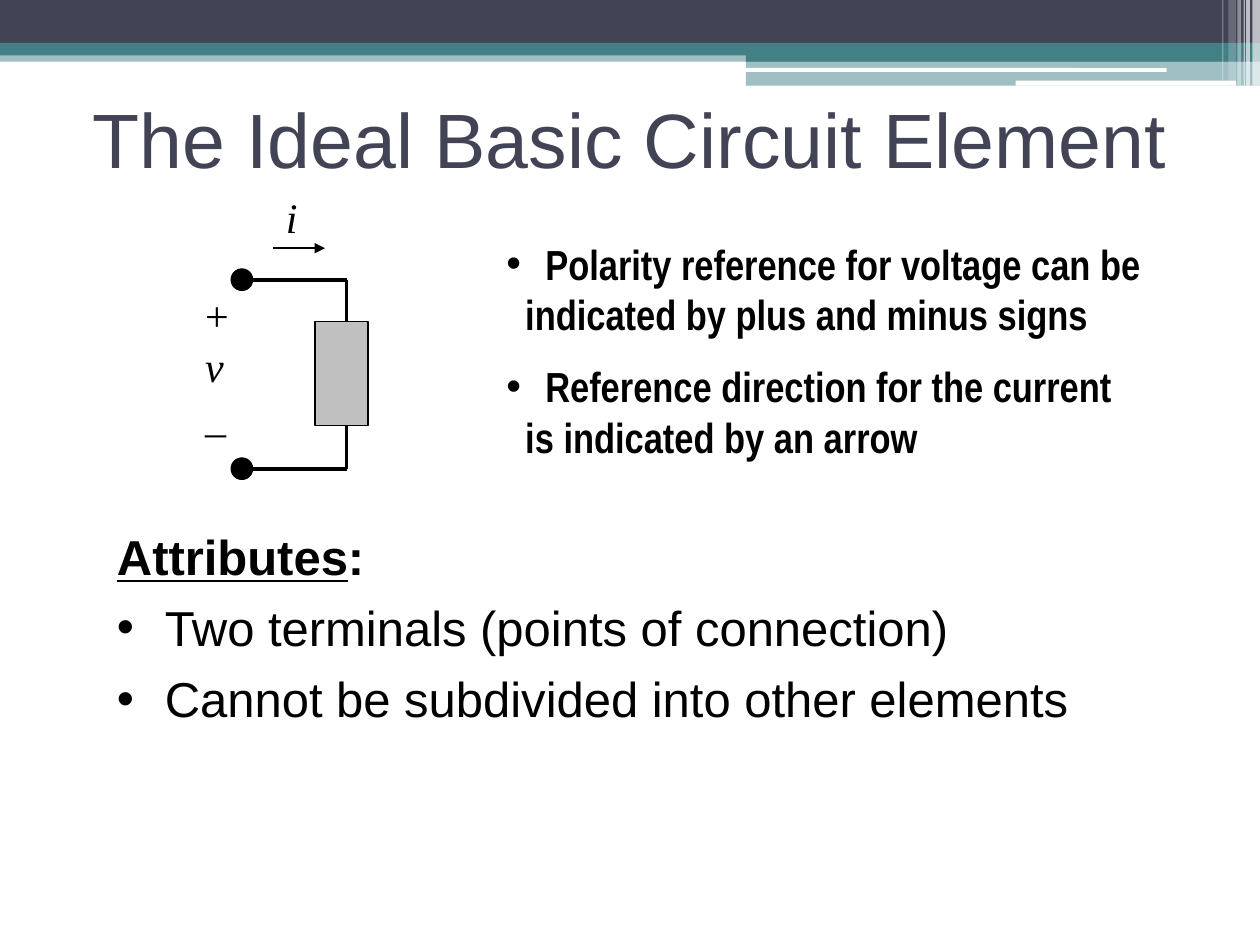
from dataclasses import dataclass
from typing import NamedTuple

from lxml import etree
from pptx import Presentation, util as u
from pptx.dml.color import RGBColor
from pptx.enum import shapes as sh, text as tx
from pptx.oxml.ns import qn

WIDE, HIGH = u.Inches(10), u.Inches(7.5)
COL, ROW = WIDE / 10, HIGH / 7.5
HUES = {"ink": "000000", "white": "FFFFFF", "slate": "424456",
        "teal": "438086", "gray": "C0C0C0"}
RECT, ROUND, OVAL = (sh.MSO_SHAPE.RECTANGLE, sh.MSO_SHAPE.ROUNDED_RECTANGLE,
                     sh.MSO_SHAPE.OVAL)


class Area(NamedTuple):
    col: float
    row: float
    cols: float
    rows: float


class Bar(NamedTuple):
    area: Area
    hue: str
    alpha: int = 100
    kind: int = RECT
    edge: float = 0


class Wire(NamedTuple):
    start: tuple[float, float]
    end: tuple[float, float]
    width: float = 2.25
    arrow: bool = False


class Run(NamedTuple):
    text: str
    bold: bool = False
    slant: bool = False
    under: bool = False


@dataclass
class Para:
    runs: list[Run]
    left: float = 0
    first: float = 0
    before: float = 0
    dot: bool = False
    align: int = tx.PP_ALIGN.LEFT


@dataclass
class Block:
    area: Area
    font: str
    size: float
    paras: list[Para]
    hue: str = "ink"
    wrap: bool = True
    anchor: int = tx.MSO_ANCHOR.TOP


def tint(name: str) -> RGBColor:
    return RGBColor.from_string(HUES[name])


def place(area: Area) -> list[int]:
    units = (COL, ROW, COL, ROW)
    return [round(n * unit) for n, unit in zip(area, units)]


def draw_bar(slide, bar: Bar) -> None:
    shape = slide.shapes.add_shape(bar.kind, *place(bar.area))
    shape.shadow.inherit = False
    shape.fill.solid()
    shape.fill.fore_color.rgb = tint(bar.hue)
    if bar.alpha < 100:
        color = shape.fill._xPr.find(".//" + qn("a:srgbClr"))
        etree.SubElement(color, qn("a:alpha"), val=str(bar.alpha * 1000))
    if bar.edge:
        shape.line.color.rgb = tint("ink")
        shape.line.width = u.Pt(bar.edge)
    else:
        shape.line.fill.background()


def draw_wire(slide, wire: Wire) -> None:
    ends = place(Area(*wire.start, *wire.end))
    link = slide.shapes.add_connector(sh.MSO_CONNECTOR.STRAIGHT, *ends)
    link.line.color.rgb = tint("ink")
    link.line.width = u.Pt(wire.width)
    if wire.arrow:
        etree.SubElement(link.line._get_or_add_ln(), qn("a:tailEnd"),
                         type="triangle")
    etree.SubElement(link._element.spPr, qn("a:effectLst"))


def fill_para(para, item: Para, block: Block) -> None:
    props = para._p.get_or_add_pPr()
    props.set("marL", str(u.Inches(item.left)))
    props.set("indent", str(u.Inches(item.first)))
    para.alignment = item.align
    if item.before:
        para.space_before = u.Pt(item.before)
    if item.dot:
        etree.SubElement(props, qn("a:buFont"), typeface="Arial")
        etree.SubElement(props, qn("a:buChar"), char="•")
    for part in item.runs:
        run = para.add_run()
        run.text = part.text
        font = run.font
        font.name, font.size = block.font, u.Pt(block.size)
        font.bold, font.italic, font.underline = part[1:]
        font.color.rgb = tint(block.hue)


def draw_text(slide, block: Block) -> None:
    frame = slide.shapes.add_textbox(*place(block.area)).text_frame
    frame.word_wrap = block.wrap
    frame.vertical_anchor = block.anchor
    for n, item in enumerate(block.paras):
        para = frame.add_paragraph() if n else frame.paragraphs[0]
        fill_para(para, item, block)


def point(text: str, before: float = 0) -> Para:
    return Para([Run(text, bold=True)], 0.31, -0.31, before, dot=True)


def rest(text: str) -> Para:
    return Para([Run(text, bold=True)], 0.15)


def trait(*runs: Run, before: float = 7, dot: bool = True) -> Para:
    return Para(list(runs), 0.38, -0.38, before, dot, tx.PP_ALIGN.JUSTIFY)


BANDS = [
    Bar(Area(0, 0.4, 10, 0.09), "teal", 50),
    Bar(Area(0, 0, 10, 0.34), "slate"),
    Bar(Area(0, 0.34, 10, 0.1), "teal"),
    Bar(Area(5.92, 0.39, 4.08, 0.1), "teal"),
    Bar(Area(5.92, 0.48, 4.08, 0.2), "teal", 50),
    Bar(Area(5.91, 0.54, 3.35, 0.03), "white", kind=ROUND),
    Bar(Area(8.06, 0.64, 1.75, 0.04), "white", kind=ROUND),
]
STRIPES = [
    Bar(Area(col, 0, cols, rows), "white", alpha)
    for col, cols, rows, alpha in [
        (9.94, 0.06, 0.68, 65), (9.89, 0.03, 0.68, 65), (9.87, 0.01, 0.68, 60),
        (9.82, 0.03, 0.68, 40), (9.75, 0.06, 0.64, 20), (9.7, 0.01, 0.64, 30)]
]
NEAR, FAR, TOP, BASE, DOT = 1.92, 2.75, 2.22, 3.72, 0.17
BODY = Area(2.5, 2.55, 0.42, 0.83)
WIRES = [
    Wire((NEAR, TOP), (FAR, TOP)),
    Wire((FAR, TOP), (FAR, BODY.row)),
    Wire((FAR, BODY.row + BODY.rows), (FAR, BASE)),
    Wire((NEAR, BASE), (FAR, BASE)),
    Wire((2.17, 1.97), (2.58, 1.97), 1.5, True),
]
NODES = [Bar(Area(NEAR - DOT / 2, row - DOT / 2, DOT, DOT), "ink",
             kind=OVAL, edge=0.75) for row in (TOP, BASE)]
BLOCKS = [
    Block(Area(0.5, 0.8, 9, 0.58), "Arial", 44,
          [Para([Run("The Ideal Basic Circuit Element")],
                align=tx.PP_ALIGN.CENTER)],
          hue="slate", anchor=tx.MSO_ANCHOR.MIDDLE),
    Block(Area(0.83, 4.13, 9, 2.95), "Arial", 28, [
        trait(Run("Attributes", bold=True, under=True), Run(":", bold=True),
              before=0, dot=False),
        trait(Run("Two terminals (points of connection)")),
        trait(Run("Cannot be subdivided into other elements"))]),
    Block(Area(1.53, 2.25, 0.39, 1.3), "Times New Roman", 24,
          [Para([Run("+")]), Para([Run("v", slant=True)]), Para([Run("_")])],
          wrap=False),
    Block(Area(2.17, 1.47, 0.29, 0.5), "Times New Roman", 24,
          [Para([Run("i", slant=True)])], wrap=False),
    Block(Area(3.92, 1.84, 5.83, 2.32), "Arial Narrow", 24, [
        point("Polarity reference for voltage can be"),
        rest("indicated by plus and minus signs"),
        point("Reference direction for the current", 12.5),
        rest("is indicated by an arrow")]),
]


def main() -> None:
    deck = Presentation()
    deck.slide_width, deck.slide_height = WIDE, HIGH
    slide = deck.slides.add_slide(deck.slide_layouts[6])
    for bar in BANDS + STRIPES + [Bar(BODY, "gray", edge=0.75)]:
        draw_bar(slide, bar)
    for wire in WIRES:
        draw_wire(slide, wire)
    for node in NODES:
        draw_bar(slide, node)
    for block in BLOCKS:
        draw_text(slide, block)
    deck.save("out.pptx")


if __name__ == "__main__":
    main()
